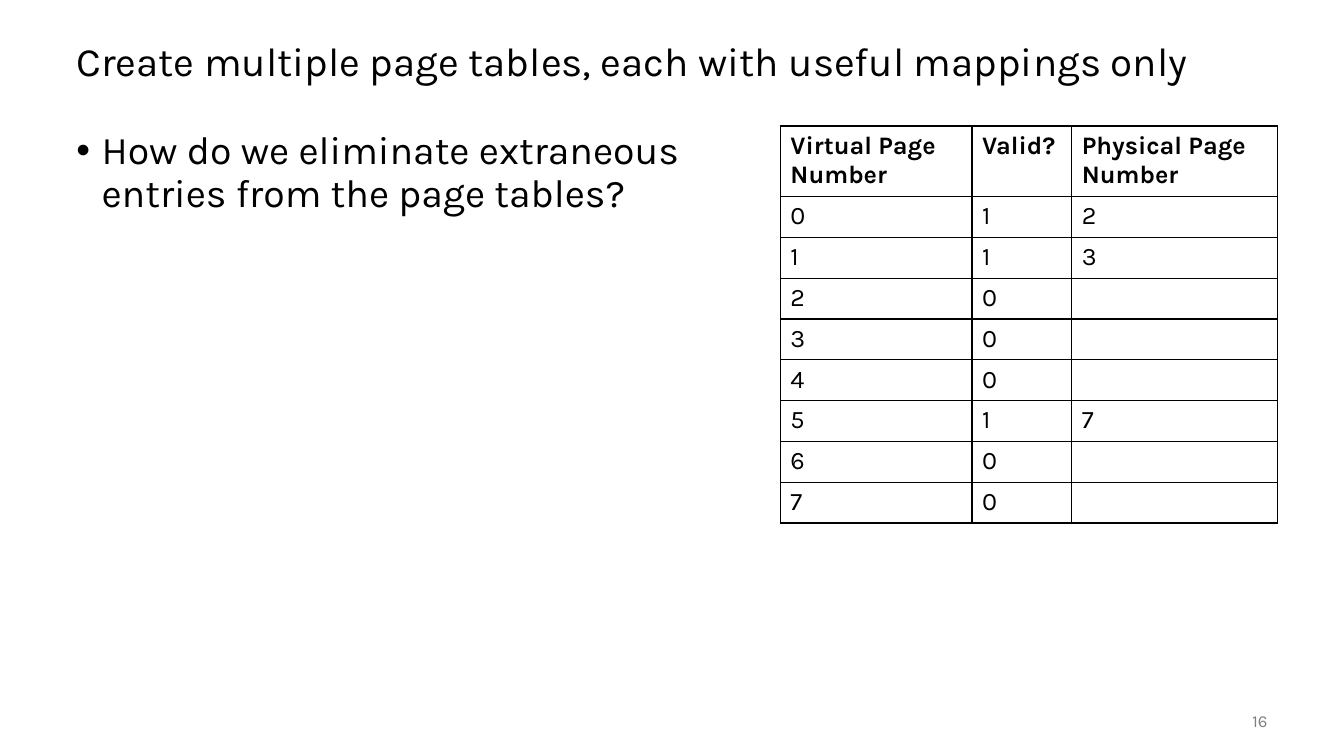
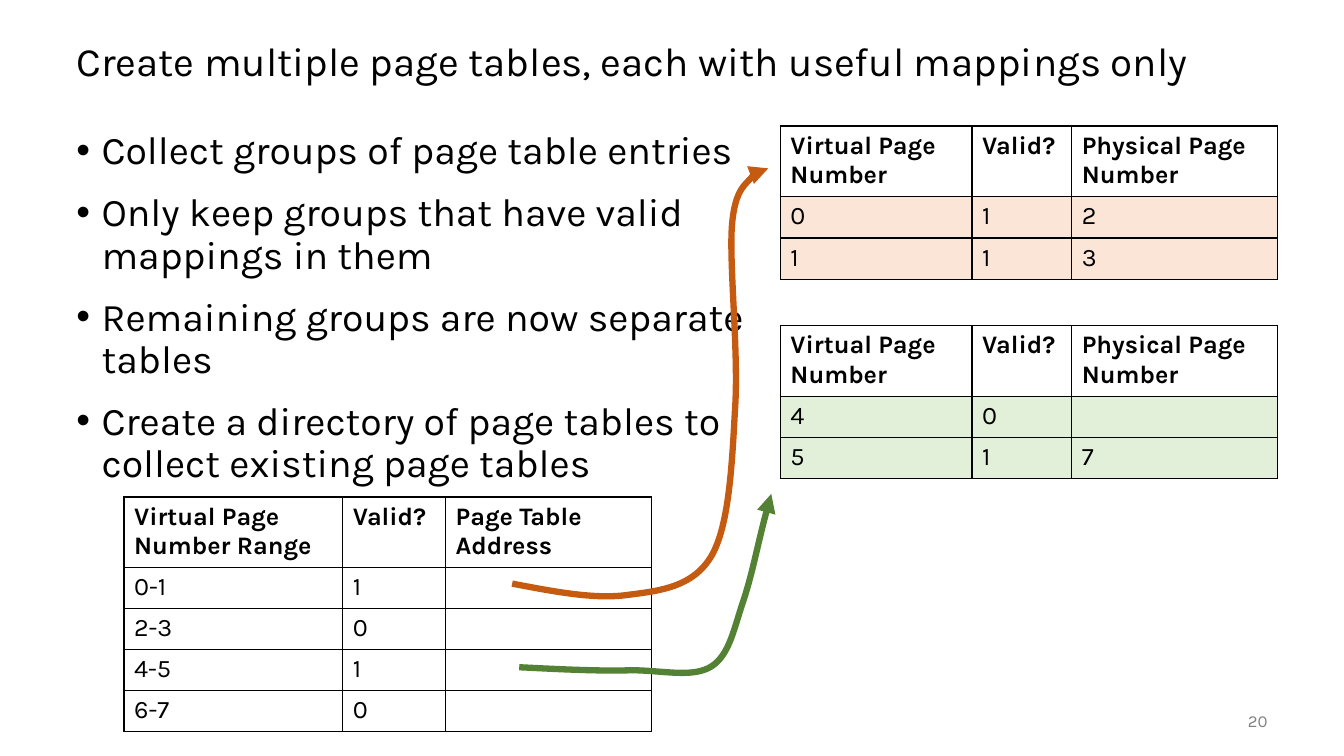
from dataclasses import dataclass
from typing import Optional

from lxml.etree import SubElement
from pptx import Presentation
from pptx.dml.color import RGBColor
from pptx.enum.text import MSO_ANCHOR, MSO_AUTO_SIZE, PP_ALIGN
from pptx.oxml.ns import qn
from pptx.util import Inches, Pt

# Shared style
FONT = "Karla"
BLACK = RGBColor(0x00, 0x00, 0x00)
WHITE = RGBColor(0xFF, 0xFF, 0xFF)
GRAY = RGBColor(0x80, 0x80, 0x80)
PEACH = RGBColor(0xFB, 0xE5, 0xD6)
MINT = RGBColor(0xE2, 0xF0, 0xD9)
ORANGE = RGBColor(0xC5, 0x5A, 0x11)
GREEN = RGBColor(0x54, 0x82, 0x35)

TITLE = "Create multiple page tables, each with useful mappings only"
LEFT, TOP = 0.66, 1.25
TABLE_LEFT = 7.74
HEADER_HEIGHT = 0.69
PAGE_HEADER = ("Virtual Page Number", "Valid?", "Physical Page Number")
PAGE_WIDTHS = (1.9, 0.99, 2.04)
DIRECTORY_HEADER = ("Virtual Page Number Range", "Valid?", "Page Table Address")
DIRECTORY_WIDTHS = (2.17, 1.02, 2.04)


@dataclass(frozen=True)
class TableSpec:
    left: float
    top: float
    height: float
    rows: tuple
    fill: RGBColor = WHITE
    header: tuple = PAGE_HEADER
    widths: tuple = PAGE_WIDTHS


@dataclass(frozen=True)
class CurvedArrow:
    """A start point followed by three points for each Bezier segment."""
    points: tuple
    color: RGBColor


@dataclass(frozen=True)
class SlideSpec:
    number: int
    body_width: float
    bullets: tuple
    tables: tuple
    arrows: tuple = ()


SLIDES = (
    SlideSpec(
        number=16,
        body_width=6.46,
        bullets=("How do we eliminate extraneous entries from the page tables?",),
        tables=(
            TableSpec(TABLE_LEFT, TOP, 3.93, (
                ("0", "1", "2"), ("1", "1", "3"), ("2", "0", ""), ("3", "0", ""),
                ("4", "0", ""), ("5", "1", "7"), ("6", "0", ""), ("7", "0", ""))),
        ),
    ),
    SlideSpec(
        number=20,
        body_width=6.93,
        bullets=(
            "Collect groups of page table entries",
            "Only keep groups that have valid mappings in them",
            "Remaining groups are now separate tables",
            "Create a directory of page tables to collect existing page tables",
        ),
        tables=(
            TableSpec(1.23, 4.93, 2.32, (
                ("0-1", "1", ""), ("2-3", "0", ""), ("4-5", "1", ""), ("6-7", "0", "")),
                header=DIRECTORY_HEADER, widths=DIRECTORY_WIDTHS),
            TableSpec(TABLE_LEFT, TOP, 1.51, (("0", "1", "2"), ("1", "1", "3")), PEACH),
            TableSpec(TABLE_LEFT, 3.23, 1.51, (("4", "0", ""), ("5", "1", "7")), MINT),
        ),
        arrows=(
            CurvedArrow((
                (5.08, 5.79),
                (5.5, 5.87), (5.91, 5.95), (6.24, 5.9),
                (6.56, 5.86), (6.88, 5.82), (7.06, 5.51),
                (7.23, 5.21), (7.26, 4.62), (7.29, 4.07),
                (7.33, 3.52), (7.23, 2.62), (7.26, 2.24),
                (7.29, 1.85), (7.41, 1.83), (7.47, 1.74),
                (7.53, 1.64), (7.45, 1.65), (7.62, 1.67)), ORANGE),
            CurvedArrow((
                (5.15, 6.62),
                (5.55, 6.64), (5.95, 6.66), (6.26, 6.65),
                (6.58, 6.65), (6.87, 6.73), (7.06, 6.61),
                (7.24, 6.49), (7.28, 6.23), (7.38, 5.94),
                (7.47, 5.66), (7.52, 5.36), (7.65, 4.9)), GREEN),
        ),
    ),
)


def write_text(paragraph, text: str, *, size: float, color: RGBColor = BLACK,
               bold: bool = False, align: PP_ALIGN = PP_ALIGN.LEFT,
               line_spacing: Optional[float] = None, space_before: float = 0,
               bullet: bool = False) -> None:
    """Fill a paragraph with one formatted run."""
    if bullet:
        properties = paragraph._p.get_or_add_pPr()
        properties.set("marL", str(Inches(0.25)))
        properties.set("indent", str(-Inches(0.25)))
        SubElement(properties, qn("a:buFont")).set("typeface", "Arial")
        SubElement(properties, qn("a:buChar")).set("char", "•")
    paragraph.alignment = align
    if line_spacing:
        paragraph.line_spacing = line_spacing
    if space_before:
        paragraph.space_before = Pt(space_before)
    run = paragraph.add_run()
    run.text = text
    run.font.name = FONT
    run.font.size = Pt(size)
    run.font.bold = bold
    run.font.color.rgb = color


def add_title(slide) -> None:
    title = slide.shapes.title
    title.left, title.top = Inches(LEFT), Inches(0.25)
    title.width, title.height = Inches(12), Inches(0.75)
    frame = title.text_frame
    frame.auto_size = MSO_AUTO_SIZE.NONE
    frame.vertical_anchor = MSO_ANCHOR.MIDDLE
    write_text(frame.paragraphs[0], TITLE, size=28.8, line_spacing=0.9)


def add_bullets(slide, bullets: tuple, width: float) -> None:
    box = slide.shapes.add_textbox(Inches(LEFT), Inches(TOP), Inches(width), Inches(5.5))
    frame = box.text_frame
    frame.word_wrap = True
    for index, text in enumerate(bullets):
        paragraph = frame.add_paragraph() if index else frame.paragraphs[0]
        write_text(paragraph, text, size=28, line_spacing=0.9,
                   space_before=14 if index else 0, bullet=True)


def add_page_number(slide, number: int) -> None:
    box = slide.shapes.add_textbox(Inches(11.67), Inches(6.95), Inches(1), Inches(0.4))
    frame = box.text_frame
    frame.word_wrap = True
    frame.vertical_anchor = MSO_ANCHOR.MIDDLE
    write_text(frame.paragraphs[0], str(number), size=12, color=GRAY, align=PP_ALIGN.RIGHT)


def format_cell(cell, fill: RGBColor) -> None:
    """Give a cell black borders and a solid fill."""
    properties = cell._tc.get_or_add_tcPr()
    for side in ("lnL", "lnR", "lnT", "lnB"):
        border = SubElement(properties, qn(f"a:{side}"), w=str(Pt(1)))
        solid = SubElement(border, qn("a:solidFill"))
        SubElement(solid, qn("a:srgbClr"), val=str(BLACK))
    cell.fill.solid()
    cell.fill.fore_color.rgb = fill


def add_page_table(slide, spec: TableSpec) -> None:
    rows = (spec.header, *spec.rows)
    frame = slide.shapes.add_table(
        len(rows), len(spec.widths), Inches(spec.left), Inches(spec.top),
        Inches(sum(spec.widths)), Inches(spec.height))
    table = frame.table
    table.horz_banding = False
    for column, width in zip(table.columns, spec.widths):
        column.width = Inches(width)
    body_height = (spec.height - HEADER_HEIGHT) / len(spec.rows)
    for row_index, texts in enumerate(rows):
        is_header = row_index == 0
        table.rows[row_index].height = Inches(HEADER_HEIGHT if is_header else body_height)
        for column_index, text in enumerate(texts):
            cell = table.cell(row_index, column_index)
            format_cell(cell, WHITE if is_header else spec.fill)
            if text:
                write_text(cell.text_frame.paragraphs[0], text, size=18, bold=is_header)


def add_curved_arrow(slide, arrow: CurvedArrow) -> None:
    start, *others = [(Inches(x), Inches(y)) for x, y in arrow.points]
    builder = slide.shapes.build_freeform(*start)
    builder.add_line_segments(others, close=False)
    shape = builder.convert_to_shape()
    shape.shadow.inherit = False
    shape.fill.background()
    shape.line.color.rgb = arrow.color
    shape.line.width = Pt(4.5)
    SubElement(shape.line._get_or_add_ln(), qn("a:tailEnd"), type="triangle")

    # Join every three straight segments into one Bezier segment
    segments = list(shape._element.iter(qn("a:lnTo")))
    outline = segments[0].getparent()
    for index in range(0, len(segments), 3):
        curve = SubElement(outline, qn("a:cubicBezTo"))
        for segment in segments[index:index + 3]:
            curve.append(segment[0])
            outline.remove(segment)


def add_slide(presentation, spec: SlideSpec) -> None:
    slide = presentation.slides.add_slide(presentation.slide_layouts[5])
    add_title(slide)
    add_bullets(slide, spec.bullets, spec.body_width)
    add_page_number(slide, spec.number)
    for table in spec.tables:
        add_page_table(slide, table)
    for arrow in spec.arrows:
        add_curved_arrow(slide, arrow)


def main() -> None:
    presentation = Presentation()
    presentation.slide_width = Inches(13.33)
    presentation.slide_height = Inches(7.5)
    for spec in SLIDES:
        add_slide(presentation, spec)
    presentation.save("out.pptx")


if __name__ == "__main__":
    main()
